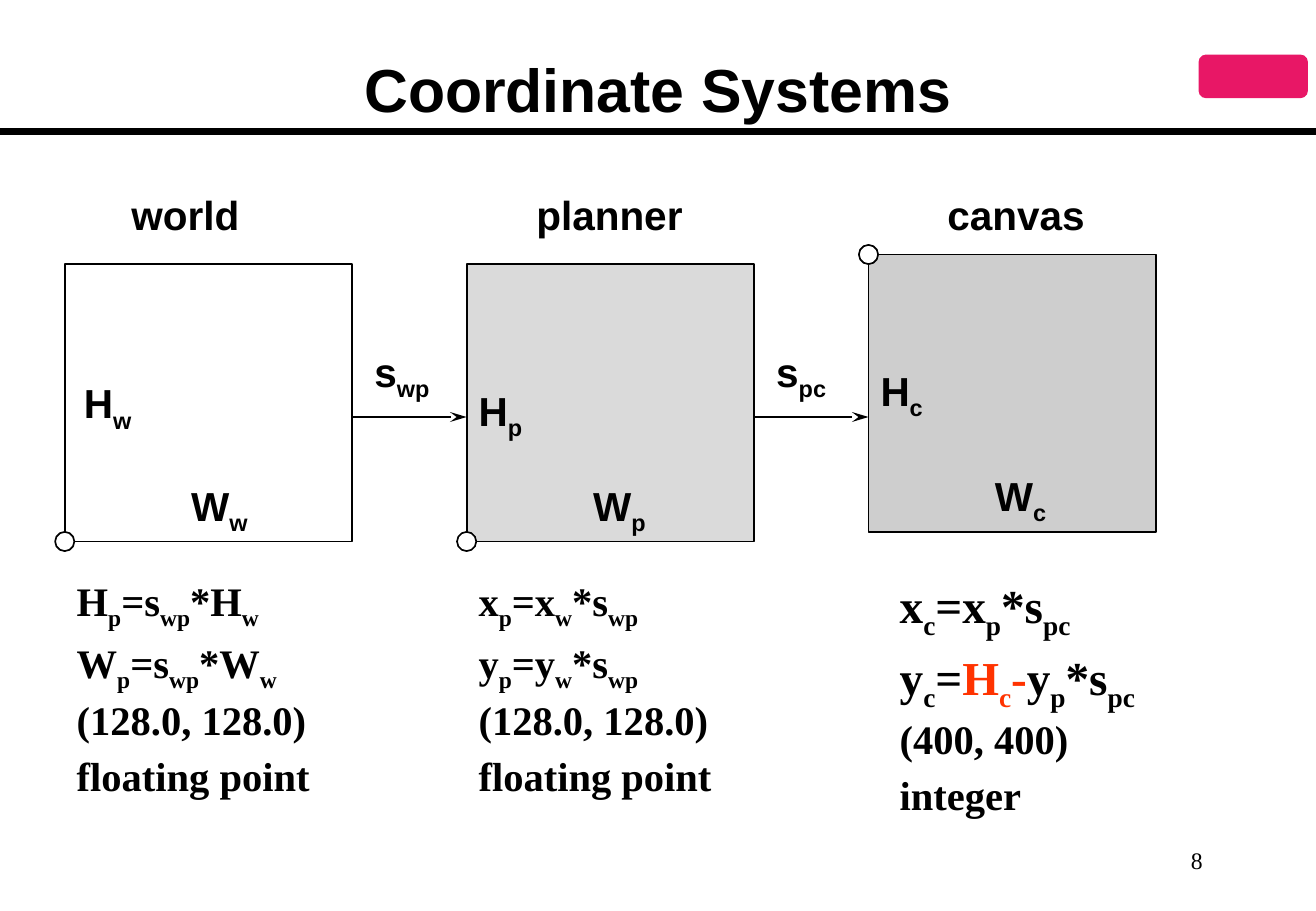
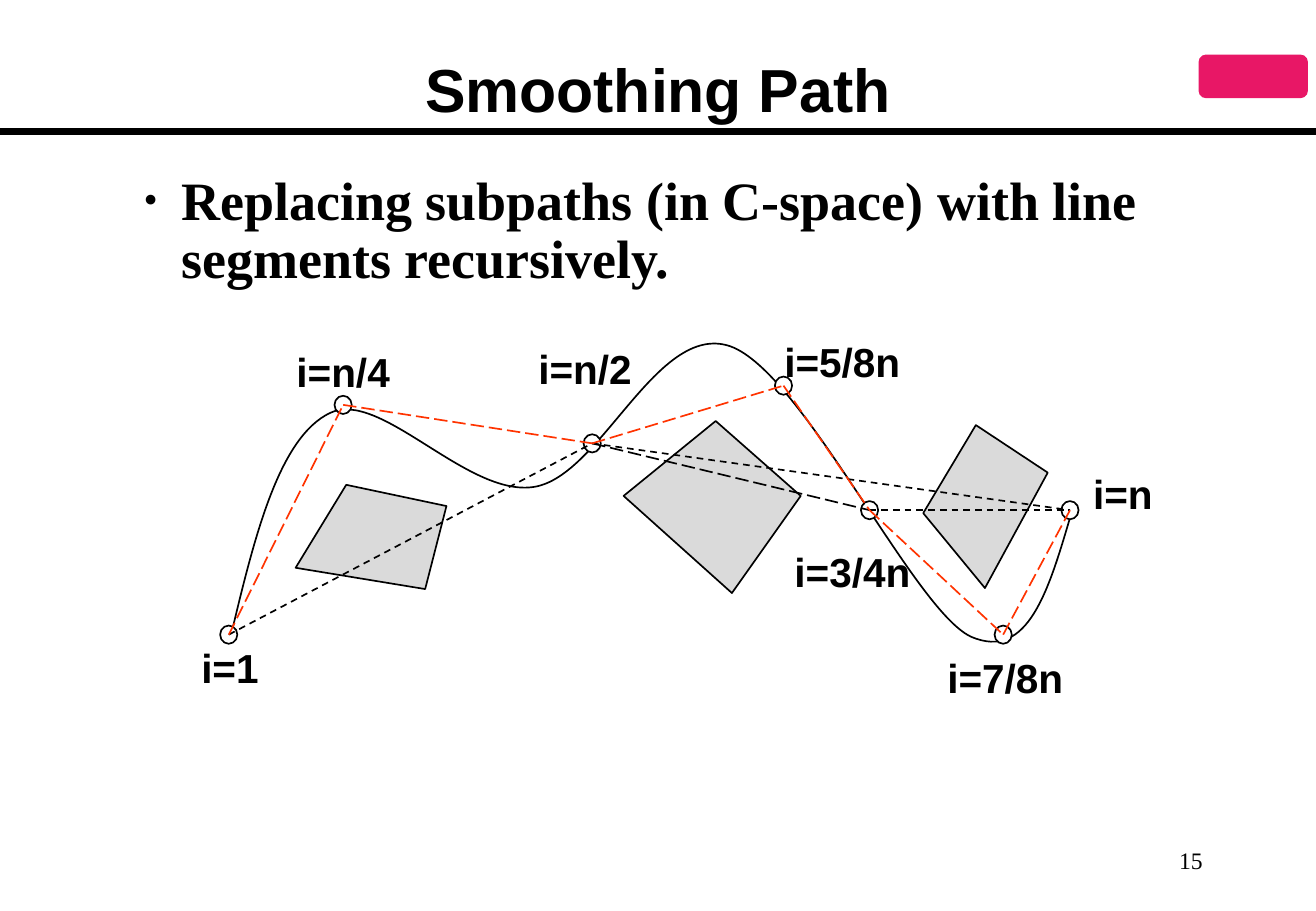
from lxml.etree import SubElement
from pptx import Presentation
from pptx.dml.color import RGBColor
from pptx.enum.dml import MSO_LINE
from pptx.enum.shapes import MSO_CONNECTOR, MSO_SHAPE
from pptx.enum.text import MSO_ANCHOR, PP_ALIGN
from pptx.oxml.ns import qn
from pptx.util import Inches, Pt

BLACK = RGBColor(0x00, 0x00, 0x00)
WHITE = RGBColor(0xFF, 0xFF, 0xFF)
LIGHT_GRAY = RGBColor(0xDA, 0xDA, 0xDA)
MID_GRAY = RGBColor(0xCE, 0xCE, 0xCE)
RED = RGBColor(0xFF, 0x33, 0x00)
PINK = RGBColor(0xE8, 0x17, 0x66)

SANS = "Arial"
SERIF = "Times New Roman"

# The slide is a grid of 130 columns and 90 rows
COLUMNS, ROWS = 130, 90
WIDTH, HEIGHT = Inches(10.83), Inches(7.5)


def write_paragraph(paragraph, text, size=24, font=SANS, bold=True,
                    align=PP_ALIGN.LEFT, spacing=None, before=0):
    """Write text in which ~x~ is a subscript and #x# is red."""
    paragraph.alignment = align
    if spacing:
        paragraph.line_spacing = spacing
    paragraph.space_before = Pt(before)
    for color_index, colored in enumerate(text.split("#")):
        for base_index, piece in enumerate(colored.split("~")):
            if not piece:
                continue
            run = paragraph.add_run()
            run.text = piece
            run.font.name = font
            run.font.size = Pt(size)
            run.font.bold = bold
            run.font.color.rgb = RED if color_index % 2 else BLACK
            if base_index % 2:
                run.font._element.set("baseline", "-25000")


class Deck:
    def __init__(self):
        self.presentation = Presentation()
        self.presentation.slide_width = WIDTH
        self.presentation.slide_height = HEIGHT
        self.slide = None

    def place(self, column, row):
        return round(column * WIDTH / COLUMNS), round(row * HEIGHT / ROWS)

    def new_slide(self, title, number):
        blank = self.presentation.slide_layouts[6]
        self.slide = self.presentation.slides.add_slide(blank)
        self.line((0, 13), (COLUMNS, 13), width=4)
        badge = self.shape(118.4, 5.4, 10.8, 4.3, PINK,
                           kind=MSO_SHAPE.ROUNDED_RECTANGLE)
        badge.line.fill.background()
        self.text([number], 93, 82, 27, 6, anchor=MSO_ANCHOR.MIDDLE, size=14,
                  font=SERIF, bold=False, align=PP_ALIGN.RIGHT)
        self.text([title], 11, 1, 108, 12, anchor=MSO_ANCHOR.BOTTOM, size=36,
                  align=PP_ALIGN.CENTER, spacing=0.9)

    def text(self, lines, column, row, columns=18, rows=6,
             anchor=MSO_ANCHOR.TOP, **style):
        box = self.slide.shapes.add_textbox(
            *self.place(column, row), *self.place(columns, rows))
        frame = box.text_frame
        frame.word_wrap = True
        frame.vertical_anchor = anchor
        for index, line in enumerate(lines):
            paragraph = frame.add_paragraph() if index else frame.paragraphs[0]
            write_paragraph(paragraph, line, **style)
        return frame

    def bullet(self, text, column, row, columns, rows, size):
        frame = self.text([text], column, row, columns, rows, size=size,
                          font=SERIF, spacing=0.9, before=size * 0.3)
        properties = frame.paragraphs[0]._p.get_or_add_pPr()
        properties.set("marL", str(Inches(0.31)))
        properties.set("indent", str(-Inches(0.31)))
        color = SubElement(properties, qn("a:buClr"))
        SubElement(color, qn("a:srgbClr"), val=str(BLACK))
        SubElement(properties, qn("a:buSzPct"), val="75000")
        SubElement(properties, qn("a:buFont"), typeface=SERIF)
        SubElement(properties, qn("a:buChar"), char="•")

    def paint(self, shape, fill):
        shape.shadow.inherit = False
        if fill is None:
            shape.fill.background()
        else:
            shape.fill.solid()
            shape.fill.fore_color.rgb = fill
        shape.line.color.rgb = BLACK
        shape.line.width = Pt(1)
        return shape

    def shape(self, column, row, columns, rows, fill,
              kind=MSO_SHAPE.RECTANGLE):
        shape = self.slide.shapes.add_shape(
            kind, *self.place(column, row), *self.place(columns, rows))
        return self.paint(shape, fill)

    def dot(self, center, columns, rows):
        self.shape(center[0] - columns / 2, center[1] - rows / 2,
                   columns, rows, WHITE, kind=MSO_SHAPE.OVAL)

    def outline(self, points, fill=None, close=True):
        places = [self.place(*point) for point in points]
        builder = self.slide.shapes.build_freeform(*places[0], scale=1.0)
        builder.add_line_segments(places[1:], close=close)
        return self.paint(builder.convert_to_shape(), fill)

    def curve(self, points):
        """Draw cubic segments: a start, then two controls and an end each."""
        shape = self.outline(points, close=False)
        steps = list(shape._element.iter(qn("a:lnTo")))
        for first in range(0, len(steps), 3):
            parent = steps[first].getparent()
            cubic = SubElement(parent, qn("a:cubicBezTo"))
            for step in steps[first:first + 3]:
                cubic.append(step[0])
                parent.remove(step)
        self.arrowhead(shape)

    def line(self, start, end, color=BLACK, width=1, dash=None):
        connector = self.slide.shapes.add_connector(
            MSO_CONNECTOR.STRAIGHT, *self.place(*start), *self.place(*end))
        connector.line.color.rgb = color
        connector.line.width = Pt(width)
        if dash:
            connector.line.dash_style = dash
        SubElement(connector._element.spPr, qn("a:effectLst"))
        return connector

    def arrowhead(self, shape, length="med"):
        SubElement(shape.line._get_or_add_ln(), qn("a:tailEnd"),
                   type="stealth", w="med", len=length)


deck = Deck()

# Slide: coordinate systems
deck.new_slide("Coordinate Systems", "8")
PANEL_LEFT, PANEL_STEP = 6.4, 39.7
PANEL_WIDTH, PANEL_HEIGHT = 28.4, 27.4
# name and offset, index letter, top, fill, place of H, origin at top
panels = [
    ("world", 5.4, "w", 26.1, WHITE, (0.7, 36.8), False),
    ("planner", 5.7, "p", 26.1, LIGHT_GRAY, (0, 37.5), False),
    ("canvas", 6.6, "c", 25.15, MID_GRAY, (0, 35.6), True),
]
for index, panel in enumerate(panels):
    name, name_offset, letter, top, fill, height_place, origin_top = panel
    left = PANEL_LEFT + index * PANEL_STEP
    deck.shape(left, top, PANEL_WIDTH, PANEL_HEIGHT, fill)
    deck.text([name], left + name_offset, 18.2)
    deck.text([f"H~{letter}~"], left + height_place[0], height_place[1])
    deck.text([f"W~{letter}~"], left + 11.3, top + 20.8)
    deck.dot((left, top if origin_top else top + PANEL_HEIGHT), 1.9, 1.9)

# Scale arrows between the panels
for index, scale in enumerate(("wp", "pc")):
    right = PANEL_LEFT + index * PANEL_STEP + PANEL_WIDTH
    arrow = deck.line((right, 41.2),
                      (right + PANEL_STEP - PANEL_WIDTH, 41.2))
    deck.arrowhead(arrow, length="lg")
    deck.text([f"s~{scale}~"], right + 1, 33.7, 10)

# Equations under the panels
float_lines = ["(128.0, 128.0)", "floating point"]
equations = dict(font=SERIF, spacing=0.9)
deck.text(["H~p~=s~wp~*H~w~", "W~p~=s~wp~*W~w~"] + float_lines,
          PANEL_LEFT, 56.4, 29.3, 22.7, before=7.2, **equations)
deck.text(["x~p~=x~w~*s~wp~", "y~p~=y~w~*s~wp~"] + float_lines,
          PANEL_LEFT + PANEL_STEP, 56.4, 29.3, 22.7, before=7.2, **equations)
canvas_frame = deck.text(["x~c~=x~p~*s~pc~", "y~c~=#H~c~-#y~p~*s~pc~"],
                         87.7, 56.4, 32.2, 22.7, size=28, before=8.4,
                         **equations)
for line in ("(400, 400)", "integer"):
    write_paragraph(canvas_frame.add_paragraph(), line, before=7.2,
                    **equations)

# Slide: smoothing path
deck.new_slide("Smoothing Path", "15")
deck.bullet("Replacing subpaths (in C-space) with line segments recursively.",
            13, 16.6, 104, 67, size=32)

# Path and obstacles
deck.curve([
    (22.9, 62.4),
    (25.2, 52.8), (27.6, 43.2), (32.6, 40.8),
    (37.6, 38.4), (46.2, 49.2), (52.8, 48.1),
    (59.4, 47), (64.9, 31.8), (72.1, 34.2),
    (79.3, 36.7), (90.2, 60.2), (95.9, 62.9),
    (101.6, 65.4), (103.8, 57.6), (106.1, 49.8),
])
obstacles = [
    [(34.2, 47.9), (29.2, 56.1), (42, 58.2), (44.1, 50)],
    [(70.7, 41.6), (61.6, 49), (72.3, 58.6), (79.1, 49)],
    [(91.2, 50.7), (97.3, 58.1), (103.5, 46.7), (96.4, 42)],
]
for corners in obstacles:
    deck.outline(corners, LIGHT_GRAY)

# Path points, with the place of each label
nodes = {
    "i=1": ((22.6, 62.7), (18.7, 62.9)),
    "i=n/4": ((33.9, 40), (28.1, 33.7)),
    "i=n/2": ((58.5, 43.8), (52, 33.4)),
    "i=5/8n": ((77.4, 38.1), (76.3, 32.7)),
    "i=3/4n": ((85.9, 50.4), (77.3, 53.5)),
    "i=7/8n": ((99.1, 62.7), (92.4, 63.9)),
    "i=n": ((105.7, 50.4), (106.8, 45.7)),
}
for label, (center, label_place) in nodes.items():
    deck.dot(center, 1.7, 1.8)
    deck.text([label], *label_place)

# Rejected segments in black, accepted ones in red
rejected = [
    ("i=1", "i=n/2", MSO_LINE.DASH),
    ("i=n/2", "i=n", MSO_LINE.DASH),
    ("i=n/2", "i=3/4n", MSO_LINE.LONG_DASH),
    ("i=3/4n", "i=n", MSO_LINE.DASH),
]
for start, end, dash in rejected:
    deck.line(nodes[start][0], nodes[end][0], dash=dash)
centers = [center for center, _ in nodes.values()]
for start, end in zip(centers, centers[1:]):
    deck.line(start, end, color=RED, dash=MSO_LINE.LONG_DASH)

deck.presentation.save("out.pptx")
